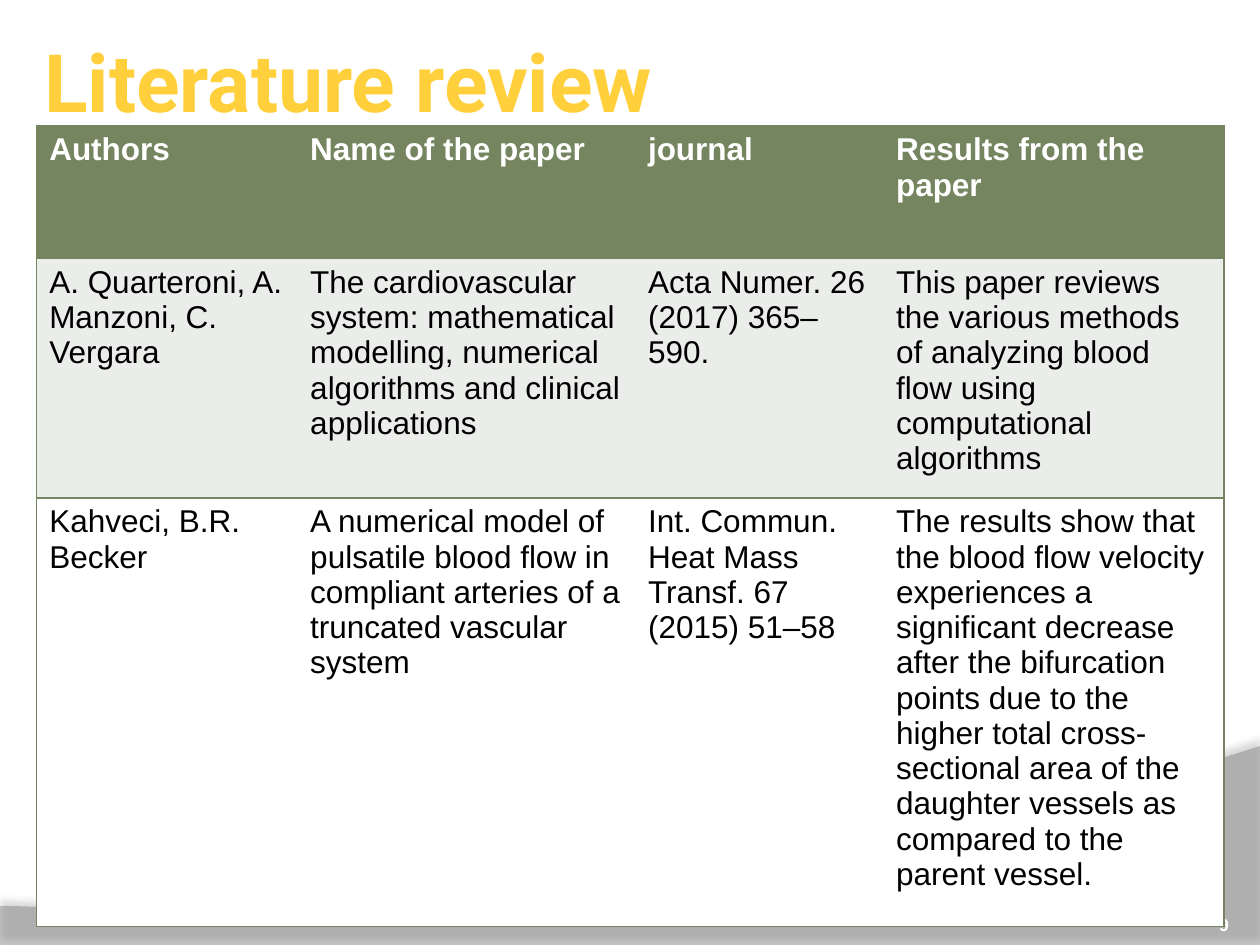
from dataclasses import dataclass

from lxml.etree import SubElement
from pptx import Presentation
from pptx.dml.color import RGBColor
from pptx.enum.text import MSO_ANCHOR, PP_ALIGN
from pptx.oxml import parse_xml
from pptx.oxml.ns import nsdecls, qn
from pptx.slide import Slide
from pptx.table import _Cell
from pptx.util import Cm, Pt

GREEN = "748560"
WHITE = "FFFFFF"


@dataclass
class Row:
    height: float
    fill: str
    color: str
    bold: bool
    texts: tuple[str, ...]


COLUMNS = (5.26, 6.81, 5.0, 6.86)
ROWS = (
    Row(2.67, GREEN, WHITE, True, (
        "Authors",
        "Name of the paper",
        "journal",
        "Results from the paper",
    )),
    Row(4.8, "EBEDEA", "000000", False, (
        "A. Quarteroni, A. Manzoni, C. Vergara",
        "The cardiovascular system: mathematical modelling, numerical "
        "algorithms and clinical applications",
        "Acta Numer. 26 (2017) 365–590.",
        "This paper reviews the various methods of analyzing blood flow "
        "using computational algorithms",
    )),
    Row(8.61, WHITE, "000000", False, (
        "Kahveci, B.R. Becker",
        "A numerical model of pulsatile blood flow in compliant arteries "
        "of a truncated vascular system",
        "Int. Commun. Heat Mass Transf. 67 (2015) 51–58",
        "The results show that the blood flow velocity experiences a "
        "significant decrease after the bifurcation points due to the higher "
        "total cross-sectional area of the daughter vessels as compared to "
        "the parent vessel.",
    )),
)


def rgb(color: str) -> RGBColor:
    return RGBColor.from_string(color)


def format_text(tf, size: float, color: str, bold: bool, name: str = "Arial") -> None:
    for p in tf.paragraphs:
        for r in p.runs:
            r.font.size = Pt(size)
            r.font.name = name
            r.font.bold = bold
            r.font.color.rgb = rgb(color)


def bezier(points: tuple, steps: int = 40) -> list[tuple[int, int]]:
    curve = []
    for i in range(1, steps + 1):
        t = i / steps
        weights = ((1 - t) ** 3, 3 * t * (1 - t) ** 2, 3 * t**2 * (1 - t), t**3)
        x, y = (sum(w * pt[axis] for w, pt in zip(weights, points)) for axis in (0, 1))
        curve.append((Cm(x), Cm(y)))
    return curve


def add_wave(s: Slide) -> None:
    builder = s.shapes.build_freeform(Cm(0), Cm(18.26))
    corners = [(Cm(0), Cm(19.05)), (Cm(25.4), Cm(19.05)), (Cm(25.4), Cm(15.04))]
    curve = bezier(((25.4, 15.04), (14.2, 18.69), (9.93, 18.52), (0, 18.26)))
    builder.add_line_segments(corners + curve, close=True)
    sp = builder.convert_to_shape()
    sp.fill.solid()
    sp.fill.fore_color.rgb = rgb("7F7F7F")
    color = sp.fill._xPr.find(qn("a:solidFill"))[0]
    SubElement(color, qn("a:alpha"), val="45000")
    sp.line.fill.background()
    sp._element.spPr.append(parse_xml(
        f'<a:effectLst {nsdecls("a")}>'
        f'<a:outerShdw blurRad="{Pt(4)}" dist="{Pt(3.5)}" dir="16200000" rotWithShape="0">'
        '<a:srgbClr val="000000"><a:alpha val="35000"/></a:srgbClr>'
        "</a:outerShdw></a:effectLst>"
    ))


def add_title(s: Slide, text: str) -> None:
    sp = s.shapes.title
    sp.left, sp.top, sp.width, sp.height = Cm(0.64), Cm(0.43), Cm(21.39), Cm(2.74)
    tf = sp.text_frame
    tf.text = text
    tf.vertical_anchor = MSO_ANCHOR.MIDDLE
    p = tf.paragraphs[0]
    p.alignment = PP_ALIGN.LEFT
    p.line_spacing = 0.8
    format_text(tf, 46, "FFD03B", True, "Roboto")


def add_page_number(s: Slide, text: str) -> None:
    sp = s.shapes.add_textbox(Cm(22.66), Cm(17.83), Cm(2.11), Cm(1.02))
    tf = sp.text_frame
    tf.word_wrap = True
    tf.margin_left = tf.margin_right = tf.margin_top = tf.margin_bottom = 0
    tf.vertical_anchor = MSO_ANCHOR.BOTTOM
    tf.text = text
    tf.paragraphs[0].alignment = PP_ALIGN.RIGHT
    format_text(tf, 10, WHITE, True)


def set_borders(cell: _Cell, first: bool, last: bool) -> None:
    tc_pr = cell._tc.get_or_add_tcPr()
    for tag, shown in (("lnL", first), ("lnR", last), ("lnT", True), ("lnB", True)):
        ln = SubElement(tc_pr, qn(f"a:{tag}"), w=str(Pt(1)))
        if shown:
            fill = SubElement(ln, qn("a:solidFill"))
            SubElement(fill, qn("a:srgbClr"), val=GREEN)
        else:
            SubElement(ln, qn("a:noFill"))


def add_review_table(s: Slide) -> None:
    frame = s.shapes.add_table(
        len(ROWS), len(COLUMNS), Cm(0.74), Cm(2.54),
        Cm(sum(COLUMNS)), Cm(sum(row.height for row in ROWS)),
    )
    table = frame.table
    for column, width in zip(table.columns, COLUMNS):
        column.width = Cm(width)
    for i, row in enumerate(ROWS):
        table.rows[i].height = Cm(row.height)
        for j, text in enumerate(row.texts):
            cell = table.cell(i, j)
            set_borders(cell, j == 0, j == len(COLUMNS) - 1)
            cell.fill.solid()
            cell.fill.fore_color.rgb = rgb(row.fill)
            cell.text_frame.text = text
            format_text(cell.text_frame, 18, row.color, row.bold)


def main() -> None:
    prs = Presentation()
    prs.slide_width, prs.slide_height = Cm(25.4), Cm(19.05)
    s = prs.slides.add_slide(prs.slide_layouts[5])
    add_wave(s)
    add_title(s, "Literature review")
    add_page_number(s, "9")
    add_review_table(s)
    prs.save("out.pptx")


if __name__ == "__main__":
    main()
